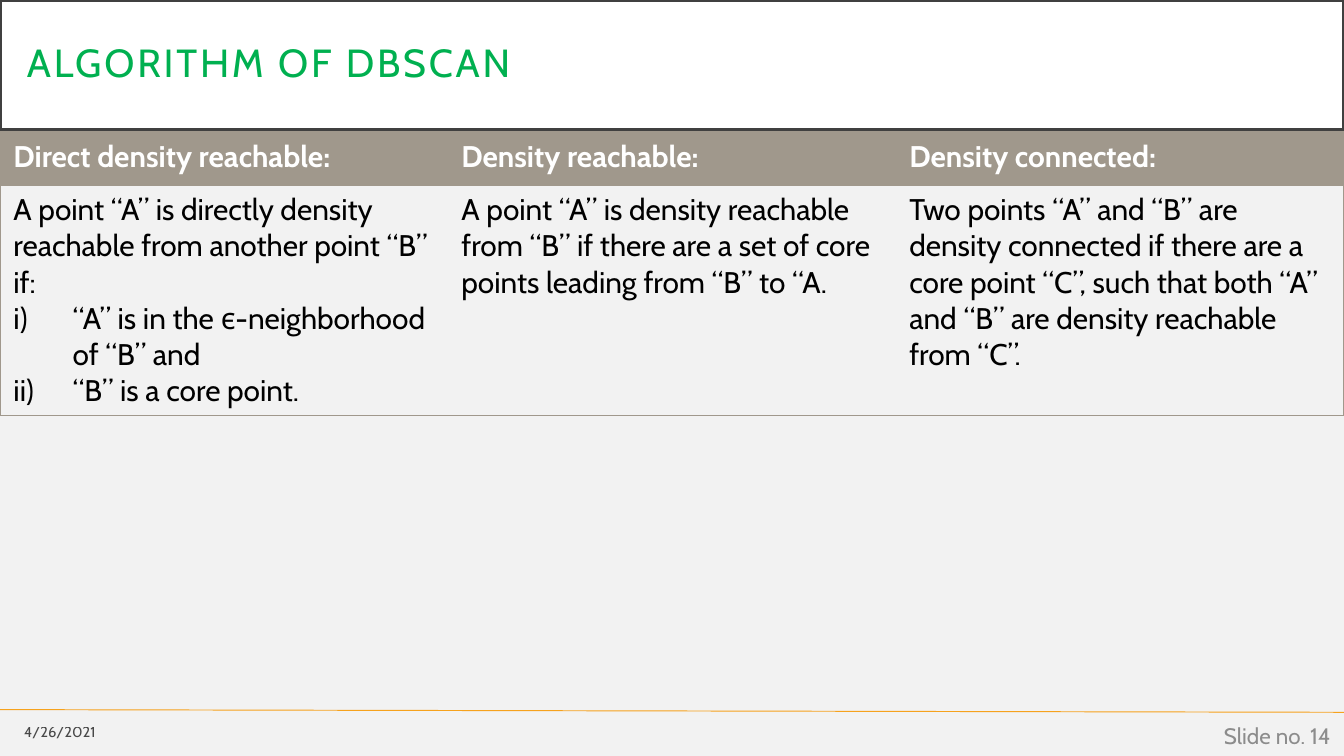
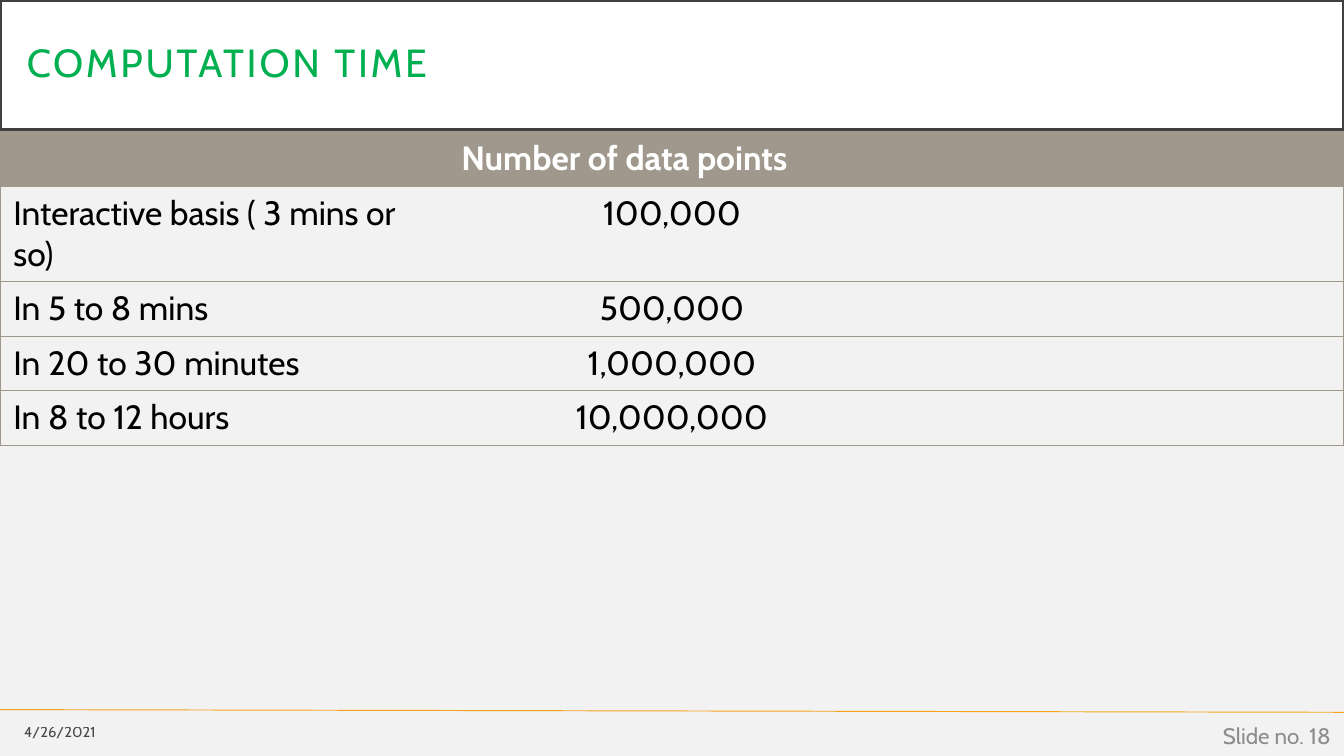
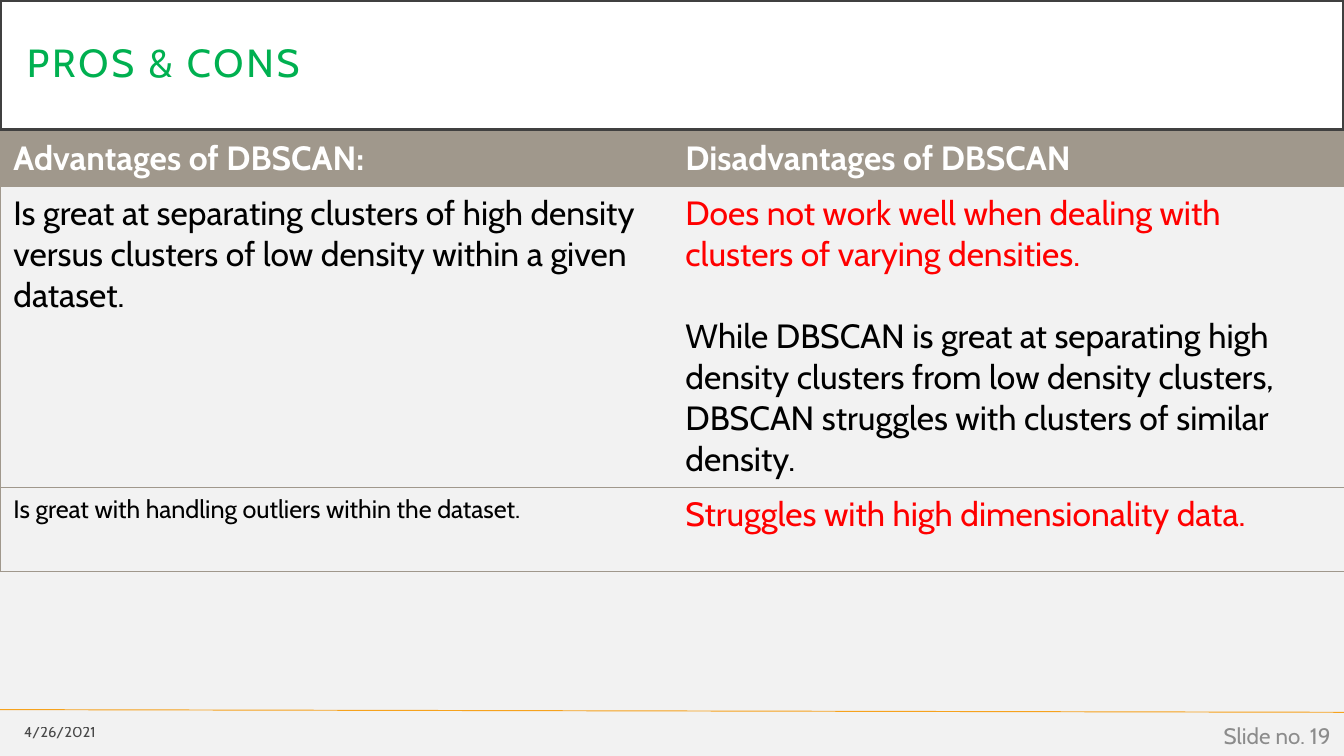
from dataclasses import dataclass

from lxml import etree
from pptx import Presentation
from pptx.dml.color import RGBColor
from pptx.enum.shapes import MSO_CONNECTOR
from pptx.enum.text import MSO_ANCHOR, MSO_AUTO_SIZE, PP_ALIGN
from pptx.oxml.ns import qn
from pptx.util import Inches, Pt

LEFT, MID, RIGHT = PP_ALIGN.LEFT, PP_ALIGN.CENTER, PP_ALIGN.RIGHT
CENTER = MSO_ANCHOR.MIDDLE
FIXED = MSO_AUTO_SIZE.NONE
LINE = MSO_CONNECTOR.STRAIGHT


@dataclass(frozen=True)
class Theme:
    font: str = "Cabin"
    page: str = "F2F2F2"
    white: str = "FFFFFF"
    black: str = "000000"
    green: str = "00B050"
    red: str = "FF0000"
    taupe: str = "A0988C"
    frame: str = "404040"
    amber: str = "F6A21D"
    grey: str = "8C8C8C"
    title: float = 21
    large: float = 18
    body: float = 16
    small: float = 13.5
    note: float = 12
    date: float = 7.9
    rule: float = 0.5


T = Theme()


@dataclass
class Para:
    text: str
    color: str = T.black
    size: float = 0
    align: int = LEFT
    roman: bool = False
    gap: float = 0


# Boxes shared by the slides: left, top, width, height
TITLE = (0, 0, 10, 0.97)
TABLE = (0, 0.98, 10)
DATE = (0, 5.31, 0.81, 0.27)
NUMBER = (7.75, 5.32, 2.25, 0.3)


def rgb(code):
    return RGBColor.from_string(code)


def add_run(para, text, size, color, bold=False):
    run = para.add_run()
    run.text = text
    font = run.font
    font.name, font.size, font.bold = T.font, Pt(size), bold
    font.color.rgb = rgb(color)
    return run


def add_title(slide, box, text):
    shape = slide.shapes.title
    shape.left, shape.top, shape.width, shape.height = map(Inches, box)
    shape.fill.solid()
    shape.fill.fore_color.rgb = rgb(T.white)
    shape.line.color.rgb = rgb(T.frame)
    shape.line.width = Pt(2.5)
    frame = shape.text_frame
    frame.auto_size, frame.word_wrap = FIXED, True
    frame.vertical_anchor = CENTER
    frame.margin_left = frame.margin_right = Inches(0.2)
    frame.margin_top = frame.margin_bottom = Inches(0.2)
    para = frame.paragraphs[0]
    para.alignment, para.line_spacing = LEFT, 0.9
    run = add_run(para, text, T.title, T.green)
    run.font._element.set("spc", "150")


def add_note(slide, box, text, size, color):
    frame = slide.shapes.add_textbox(*map(Inches, box)).text_frame
    frame.word_wrap = True
    frame.vertical_anchor = CENTER
    para = frame.paragraphs[0]
    para.alignment = RIGHT
    return add_run(para, text, size, color)


def add_footer(slide, number):
    # Slightly tilted rule
    rule = slide.shapes.add_connector(
        LINE, Inches(0), Inches(5.28), Inches(10), Inches(5.3))
    rule.line.color.rgb = rgb(T.amber)
    rule.line.width = Pt(T.rule)
    etree.SubElement(rule._element.spPr, qn("a:effectLst"))
    # Date, partly transparent, and slide number
    date = add_note(slide, DATE, "4/26/2021", T.date, T.black)
    tint = date.font._element.find(".//" + qn("a:srgbClr"))
    etree.SubElement(tint, qn("a:alpha")).set("val", "70000")
    add_note(slide, NUMBER, f"Slide no. {number}", T.note, T.grey)


def set_edges(cell, first, last):
    """Rule every row, and the outer sides of the table only."""
    props = cell._tc.get_or_add_tcPr()
    shown = {"L": first, "R": last, "T": True, "B": True}
    for spot, (side, on) in enumerate(shown.items()):
        edge = etree.Element(qn("a:ln" + side), w=str(Pt(T.rule)))
        kind = "a:solidFill" if on else "a:noFill"
        paint = etree.SubElement(edge, qn(kind))
        if on:
            etree.SubElement(paint, qn("a:srgbClr")).set("val", T.taupe)
        props.insert(spot, edge)


def fill_cell(cell, items, size, head):
    if head:
        cell.fill.solid()
        cell.fill.fore_color.rgb = rgb(T.taupe)
    else:
        cell.fill.background()
    frame = cell.text_frame
    for spot, item in enumerate(items):
        para = frame.add_paragraph() if spot else frame.paragraphs[0]
        para.alignment = item.align
        if item.gap:
            para.space_before = Pt(item.gap)
        if item.roman:
            props = para._p.get_or_add_pPr()
            props.set("marL", str(Inches(0.44)))
            props.set("indent", str(-Inches(0.44)))
            mark = etree.SubElement(props, qn("a:buAutoNum"))
            mark.set("type", "romanLcParenR")
        color = T.white if head else item.color
        add_run(para, item.text, item.size or size, color, head)


def add_grid(slide, box, rows, highs, size):
    left, top, width = box
    count = len(rows[0])
    table = slide.shapes.add_table(
        len(rows), count, Inches(left), Inches(top),
        Inches(width), Inches(sum(highs))).table
    table.horz_banding = False
    for col in table.columns:
        col.width = Inches(width / count)
    for r, (row, high) in enumerate(zip(rows, highs)):
        table.rows[r].height = Inches(high)
        for c, items in enumerate(row):
            cell = table.cell(r, c)
            fill_cell(cell, items, size, r == 0)
            set_edges(cell, c == 0, c == count - 1)


def add_page(prs, title, number, rows, highs, size):
    slide = prs.slides.add_slide(prs.slide_layouts[5])
    add_title(slide, TITLE, title)
    add_grid(slide, TABLE, rows, highs, size)
    add_footer(slide, number)


def add_terms(prs):
    rows = [
        [[Para("Direct density reachable:")],
         [Para("Density reachable:")],
         [Para("Density connected:")]],
        [[Para("A point “A” is directly density reachable from another "
               "point “B” if:"),
          Para("“A” is in the ϵ-neighborhood of “B” and", roman=True),
          Para("“B” is a core point.", roman=True)],
         [Para("A point “A” is density reachable from “B” if there are a "
               "set of core points leading from “B” to “A.")],
         [Para("Two points “A” and “B” are density connected if there are "
               "a core point “C”, such that both “A” and “B” are density "
               "reachable from “C”.")]],
    ]
    add_page(prs, "ALGORITHM OF DBSCAN", 14, rows, [0.4, 1.7], T.body)


def add_times(prs):
    times = [
        ("Interactive basis ( 3 mins or so)", "100,000"),
        ("In 5 to 8 mins", "500,000"),
        ("In 20 to 30 minutes", "1,000,000"),
        ("In 8 to 12 hours", "10,000,000"),
    ]
    rows = [[[], [Para("Number of data points")], []]]
    rows += [[[Para(span)], [Para(points, align=MID)], []]
             for span, points in times]
    highs = [0.4, 0.71] + [0.4] * 3
    add_page(prs, "COMPUTATION TIME", 18, rows, highs, T.large)


def add_pros(prs):
    rows = [
        [[Para("Advantages of DBSCAN:")], [Para("Disadvantages of DBSCAN")]],
        [[Para("Is great at separating clusters of high density versus "
               "clusters of low density within a given dataset.")],
         [Para("Does not work well when dealing with clusters of varying "
               "densities.", T.red),
          Para("While DBSCAN is great at separating high density clusters "
               "from low density clusters, DBSCAN struggles with clusters "
               "of similar density.", gap=22)]],
        [[Para("Is great with handling outliers within the dataset.",
               size=T.small)],
         [Para("Struggles with high dimensionality data.", T.red)]],
    ]
    add_page(prs, "PROS & CONS", 19, rows, [0.4, 2.24, 0.63], T.large)


def main():
    prs = Presentation()
    # Widescreen, 16 to 9
    prs.slide_width = Inches(10)
    prs.slide_height = prs.slide_width * 9 // 16
    back = prs.slide_master.background.fill
    back.solid()
    back.fore_color.rgb = rgb(T.page)
    add_terms(prs)
    add_times(prs)
    add_pros(prs)
    prs.save("out.pptx")


if __name__ == "__main__":
    main()
